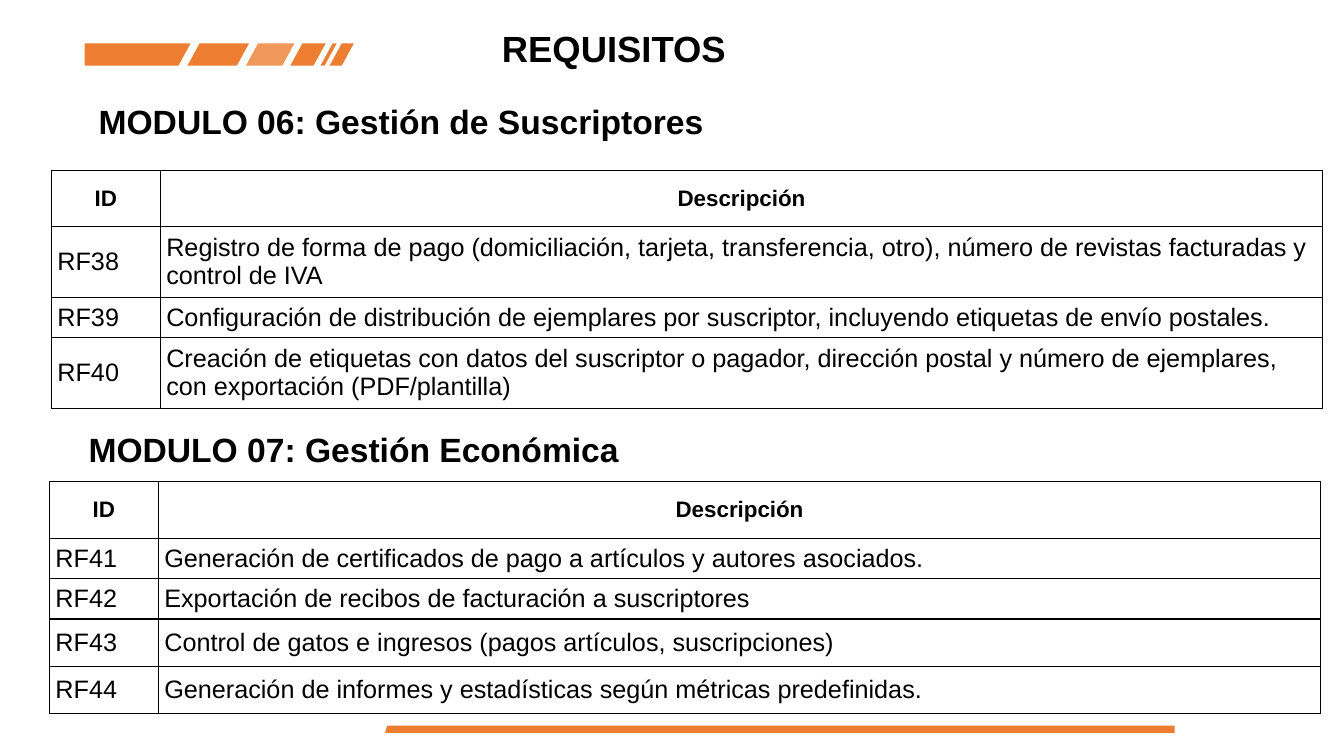
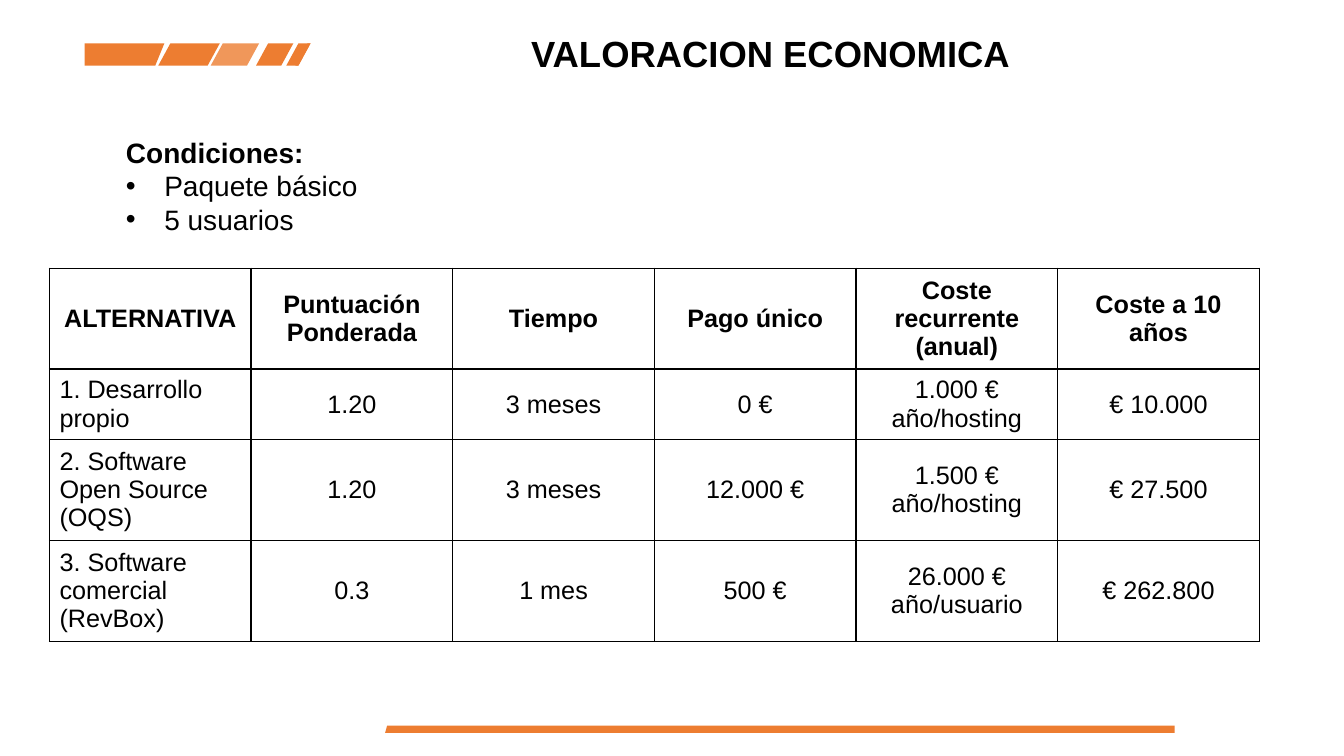
from dataclasses import dataclass

from lxml.etree import SubElement
from pptx import Presentation
from pptx.dml.color import RGBColor
from pptx.enum.text import MSO_ANCHOR, PP_ALIGN
from pptx.oxml.ns import qn
from pptx.util import Inches, Pt


@dataclass(frozen=True)
class Theme:
    font: str = "Arial"
    ink: RGBColor = RGBColor(0x00, 0x00, 0x00)
    paper: RGBColor = RGBColor(0xFF, 0xFF, 0xFF)
    accent: RGBColor = RGBColor(0xED, 0x7D, 0x31)
    title_size: int = 26
    heading_size: int = 24
    list_size: int = 20
    body_size: int = 18
    label_size: int = 16
    border_width: float = 0.96


class SlideBuilder:
    band_top = 0.43
    band_bottom = 0.65
    band_left = 0.84
    band_slant = 0.12

    def __init__(self, deck, theme):
        self.deck = deck
        self.theme = theme
        self.page = None

    def start_page(self, lead_right, lead_slant, stripes):
        self.page = self.deck.slides.add_slide(self.deck.slide_layouts[6])
        self.polygon([(3.82, 7.27), (11.65, 7.27), (11.65, 7.2), (3.84, 7.2)])
        self.band(self.band_left, self.band_left, lead_right, lead_slant)
        for index, (left, width) in enumerate(stripes):
            self.band(left + self.band_slant, left, left + width,
                      self.band_slant, 80 if index == 1 else 100)

    def band(self, top_left, bottom_left, bottom_right, slant, opacity=100):
        self.polygon([(top_left, self.band_top),
                      (bottom_left, self.band_bottom),
                      (bottom_right, self.band_bottom),
                      (bottom_right + slant, self.band_top)], opacity)

    def polygon(self, points, opacity=100):
        corners = [(Inches(x), Inches(y)) for x, y in points]
        builder = self.page.shapes.build_freeform(*corners[0], scale=1.0)
        builder.add_line_segments(corners[1:], close=True)
        shape = builder.convert_to_shape()
        shape.shadow.inherit = False
        shape.fill.solid()
        shape.fill.fore_color.rgb = self.theme.accent
        shape.line.fill.background()
        if opacity < 100:
            color = shape._element.spPr.find(qn("a:solidFill"))[0]
            SubElement(color, qn("a:alpha"), val=str(opacity * 1000))

    def add_text(self, para, text, size, bold=False, align=PP_ALIGN.LEFT):
        para.alignment = align
        span = para.add_run()
        span.text = text
        span.font.name = self.theme.font
        span.font.size = Pt(size)
        span.font.bold = bold
        span.font.color.rgb = self.theme.ink

    def text_box(self, left, top, width, height):
        box = self.page.shapes.add_textbox(
            Inches(left), Inches(top), Inches(width), Inches(height))
        box.text_frame.word_wrap = True
        return box

    def title(self, text, left, top, width, height, align=PP_ALIGN.LEFT):
        box = self.text_box(left, top, width, height)
        self.add_text(box.text_frame.paragraphs[0], text,
                      self.theme.title_size, True, align)

    def heading(self, text, left, top, width, height):
        box = self.text_box(left, top, width, height)
        self.add_text(box.text_frame.paragraphs[0], text,
                      self.theme.heading_size, True)

    def bullet_list(self, heading, items, left, top, width, height):
        box = self.text_box(left, top, width, height)
        box.fill.solid()
        box.fill.fore_color.rgb = self.theme.paper
        frame = box.text_frame
        frame.vertical_anchor = MSO_ANCHOR.MIDDLE
        frame.margin_left = frame.margin_right = frame.margin_bottom = 0
        frame.margin_top = Inches(0.07)
        self.add_text(frame.paragraphs[0], heading, self.theme.list_size, True)
        for item in items:
            para = frame.add_paragraph()
            self.add_text(para, item, self.theme.list_size)
            properties = para._p.get_or_add_pPr()
            properties.set("marL", str(Inches(0.38)))
            properties.set("indent", str(-Inches(0.38)))
            SubElement(properties, qn("a:buFont"), typeface=self.theme.font)
            SubElement(properties, qn("a:buChar"), char="•")

    def table(self, rows, left, top, widths, heights, header_size,
              body_align, side_margin):
        frame = self.page.shapes.add_table(
            len(rows), len(widths), Inches(left), Inches(top),
            Inches(sum(widths)), Inches(sum(heights)))
        table = frame.table
        table.first_row = table.horz_banding = False
        for column, width in zip(table.columns, widths):
            column.width = Inches(width)
        for row, height in zip(table.rows, heights):
            row.height = Inches(height)
        for row_index, texts in enumerate(rows):
            header = row_index == 0
            for column_index, text in enumerate(texts):
                cell = table.cell(row_index, column_index)
                self.style_cell(cell, side_margin)
                if header:
                    align = PP_ALIGN.CENTER
                else:
                    align = body_align if column_index else PP_ALIGN.LEFT
                self.add_text(cell.text_frame.paragraphs[0], text,
                              header_size if header else self.theme.body_size,
                              header, align)

    def style_cell(self, cell, side_margin):
        cell.vertical_anchor = MSO_ANCHOR.MIDDLE
        cell.margin_left = cell.margin_right = Inches(side_margin)
        cell.margin_top = cell.margin_bottom = Inches(0.05)
        properties = cell._tc.get_or_add_tcPr()
        for side in ("lnL", "lnR", "lnT", "lnB"):
            border = SubElement(properties, qn("a:" + side),
                                w=str(Pt(self.theme.border_width)))
            fill = SubElement(border, qn("a:solidFill"))
            SubElement(fill, qn("a:srgbClr"), val=str(self.theme.ink))
        cell.fill.solid()
        cell.fill.fore_color.rgb = self.theme.paper

    def requirements(self, rows, left, top, heights):
        self.table([("ID", "Descripción")] + rows, left, top, (1.08, 11.53),
                   heights, self.theme.label_size, PP_ALIGN.LEFT, 0.06)


def requirements_page(slides):
    slides.start_page(1.77, 0.12, [(1.86, 0.49), (2.44, 0.36), (2.88, 0.23),
                                   (3.27, 0.12), (3.18, 0.04)])
    slides.title("REQUISITOS", 4.88, 0.21, 3.87, 0.55)
    slides.heading("MODULO 06: Gestión de Suscriptores", 0.88, 0.95, 8.27, 0.65)
    slides.requirements([
        ("RF38", "Registro de forma de pago (domiciliación, tarjeta, "
                 "transferencia, otro), número de revistas facturadas y "
                 "control de IVA"),
        ("RF39", "Configuración de distribución de ejemplares por suscriptor, "
                 "incluyendo etiquetas de envío postales."),
        ("RF40", "Creación de etiquetas con datos del suscriptor o pagador, "
                 "dirección postal y número de ejemplares, con exportación "
                 "(PDF/plantilla)"),
    ], 0.51, 1.69, (0.56, 0.67, 0.4, 0.67))
    slides.heading("MODULO 07: Gestión Económica", 0.78, 4.21, 5.8, 0.5)
    slides.requirements([
        ("RF41", "Generación de certificados de pago a artículos y autores "
                 "asociados."),
        ("RF42", "Exportación de recibos de facturación a suscriptores"),
        ("RF43", "Control de gatos e ingresos (pagos artículos, "
                 "suscripciones)"),
        ("RF44", "Generación de informes y estadísticas según métricas "
                 "predefinidas."),
    ], 0.49, 4.78, (0.56, 0.4, 0.4, 0.47, 0.47))


def valuation_page(slides):
    slides.start_page(1.54, 0.09, [(1.57, 0.49), (2.09, 0.36), (2.54, 0.25),
                                   (2.84, 0.12), (2.93, 0.03)])
    slides.title("VALORACION ECONOMICA", 2.5, 0.26, 10.29, 0.38,
                 PP_ALIGN.CENTER)
    slides.bullet_list("Condiciones:", ["Paquete básico", "5 usuarios"],
                       1.25, 1.27, 10.83, 1.07)
    slides.table([
        ("ALTERNATIVA", "Puntuación Ponderada", "Tiempo", "Pago único",
         "Coste recurrente (anual)", "Coste a 10 años"),
        ("1. Desarrollo propio", "1.20", "3 meses", "0 €",
         "1.000 € año/hosting", "€ 10.000"),
        ("2. Software Open Source (OQS)", "1.20", "3 meses", "12.000 €",
         "1.500 € año/hosting", "€ 27.500"),
        ("3. Software comercial (RevBox)", "0.3", "1 mes", "500 €",
         "26.000 € año/usuario", "€ 262.800"),
    ], 0.49, 2.66, [2] * 6, (1, 0.7, 1, 1), slides.theme.body_size,
        PP_ALIGN.CENTER, 0.1)


def main():
    deck = Presentation()
    deck.slide_width = Inches(13.33)
    deck.slide_height = Inches(7.5)
    slides = SlideBuilder(deck, Theme())
    requirements_page(slides)
    valuation_page(slides)
    deck.save("out.pptx")


if __name__ == "__main__":
    main()
